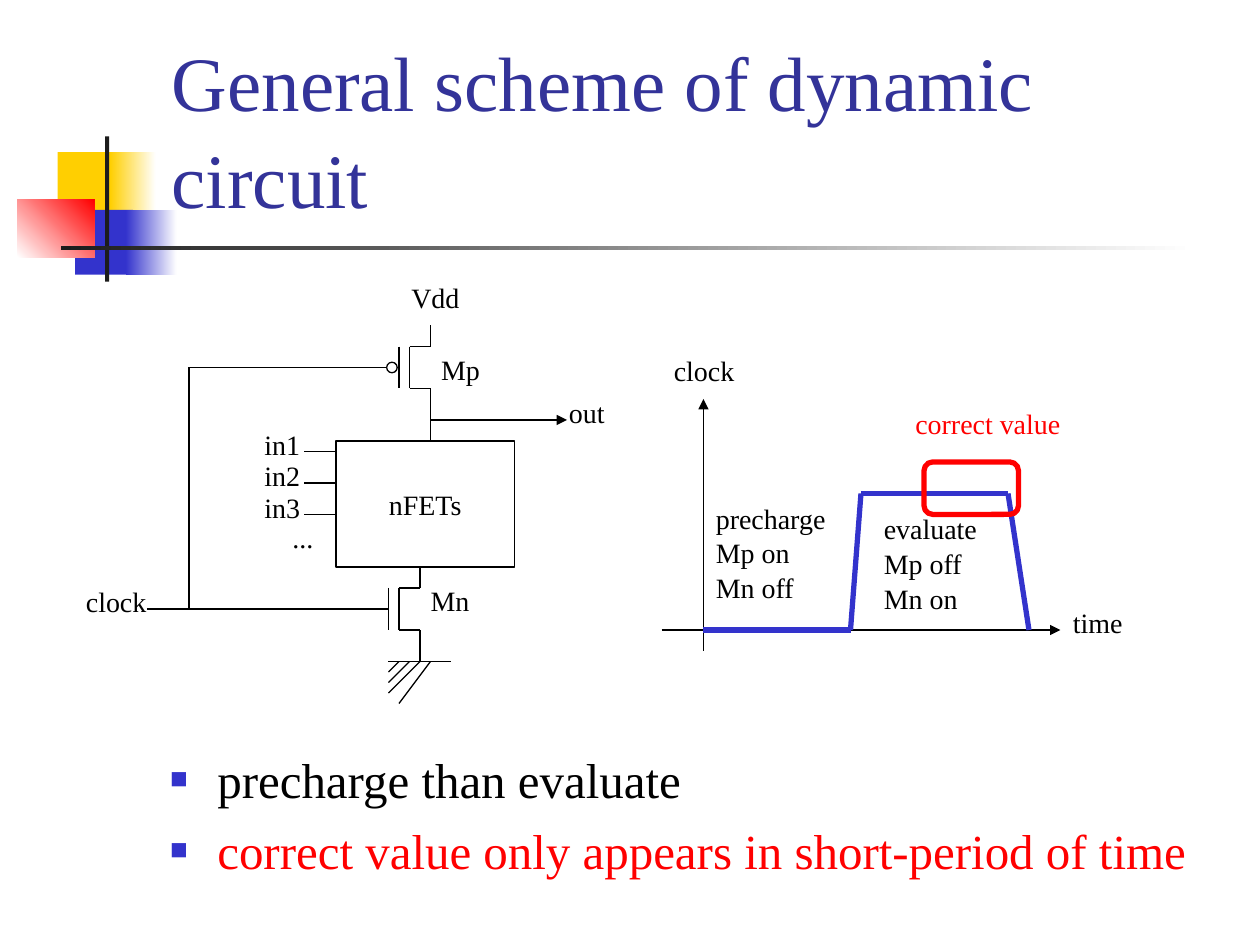
from itertools import pairwise

from lxml import etree
from pptx import Presentation
from pptx.dml.color import RGBColor
from pptx.enum.shapes import MSO_CONNECTOR, MSO_SHAPE
from pptx.enum.text import MSO_ANCHOR, MSO_AUTO_SIZE, PP_ALIGN
from pptx.oxml.ns import qn
from pptx.util import Pt

RECT, ROUND, OVAL = MSO_SHAPE.RECTANGLE, MSO_SHAPE.ROUNDED_RECTANGLE, MSO_SHAPE.OVAL
STRAIGHT = MSO_CONNECTOR.STRAIGHT
LEFT, CENTER = PP_ALIGN.LEFT, PP_ALIGN.CENTER
BOTTOM, MIDDLE = MSO_ANCHOR.BOTTOM, MSO_ANCHOR.MIDDLE
FIXED, GROW = MSO_AUTO_SIZE.NONE, MSO_AUTO_SIZE.SHAPE_TO_FIT_TEXT
FONT = "Times New Roman"
BLACK, WHITE, RED, BLUE = "000000", "FFFFFF", "FF0000", "3333CC"
GOLD, DARK, NAVY = "FFCF01", "1C1C1C", "333399"


def color(code):
    return RGBColor.from_string(code)


def style(para, size, hue=BLACK, align=LEFT):
    para.alignment = align
    para.font.name = FONT
    para.font.size = Pt(size)
    para.font.color.rgb = color(hue)


def place(shape, box):
    shape.left, shape.top, shape.width, shape.height = map(Pt, box)


def tile(slide, front, box, hues, angle=0):
    shape = slide.shapes.add_shape(RECT, *map(Pt, box))
    shape.shadow.inherit = False
    shape.line.fill.background()
    if len(hues) == 1:
        shape.fill.solid()
        shape.fill.fore_color.rgb = color(hues[0])
    else:
        shape.fill.gradient()
        shape.fill.gradient_angle = angle
        for stop, hue in zip(shape.fill.gradient_stops, hues):
            stop.color.rgb = color(hue)
    front.element.addprevious(shape.element)


def frame(art, kind, box, hue=BLACK, width=0.75):
    shape = art.shapes.add_shape(kind, *map(Pt, box))
    shape.shadow.inherit = False
    shape.fill.background()
    shape.line.color.rgb = color(hue)
    shape.line.width = Pt(width)
    return shape


def wire(art, x, y, ends, hue=BLACK, width=0.75, arrow=False):
    x1, y1, x2, y2 = ends
    line = art.shapes.add_connector(
        STRAIGHT, Pt(x + x1), Pt(y + y1), Pt(x + x2), Pt(y + y2))
    line.line.color.rgb = color(hue)
    line.line.width = Pt(width)
    props = line.element.spPr
    if arrow:
        etree.SubElement(props.find(qn("a:ln")), qn("a:tailEnd"), type="triangle")
    etree.SubElement(props, qn("a:effectLst"))


def label(art, text, x, y, width, height=26.6, hue=BLACK):
    frame = art.shapes.add_textbox(Pt(x), Pt(y), Pt(width), Pt(height)).text_frame
    frame.word_wrap = False
    frame.auto_size = GROW
    frame.text = text
    for para in frame.paragraphs:
        style(para, 16, hue)
        para.line_spacing = 1.04


def heading(slide, box):
    title = slide.shapes.title
    place(title, box)
    frame = title.text_frame
    frame.text = "General scheme of dynamic circuit"
    frame.auto_size = FIXED
    frame.vertical_anchor = BOTTOM
    style(frame.paragraphs[0], 44, NAVY)
    frame.paragraphs[0].line_spacing = 1.05


def emblem(slide, x, y):
    front = slide.shapes.title
    parts = [
        ((23, 9, 35, 37), [GOLD], 0),
        ((53, 9, 26, 37), [GOLD, WHITE], 0),
        ((33, 42, 33, 37), [BLUE], 0),
        ((62, 42, 29, 37), [BLUE, WHITE], 0),
        ((0, 36, 44, 33), [WHITE, RED], 45),
        ((50, 0, 2.4, 83), [DARK], 0),
        ((25, 62.4, 648, 2.4), [DARK, WHITE], 0),
    ]
    for (left, top, width, height), hues, angle in parts:
        tile(slide, front, (x + left, y + top, width, height), hues, angle)


def points(slide, box):
    body = slide.placeholders[1]
    place(body, box)
    frame = body.text_frame
    frame.auto_size = FIXED
    frame.margin_top = Pt(7)
    frame.text = "precharge than evaluate\ncorrect value only appears in short-period of time"
    for para, hue, gap in zip(frame.paragraphs, (BLACK, RED), (0, 5.6)):
        props = para._p.get_or_add_pPr()
        props.set("marL", str(Pt(27)))
        props.set("indent", str(Pt(-27)))
        tint = etree.SubElement(props, qn("a:buClr"))
        etree.SubElement(tint, qn("a:srgbClr"), val=BLUE)
        etree.SubElement(props, qn("a:buSzPct"), val="60000")
        etree.SubElement(props, qn("a:buFont"), typeface=FONT)
        etree.SubElement(props, qn("a:buChar"), char="■")
        style(para, 28, hue)
        para.space_before = Pt(gap)
        para.line_spacing = 1.04


def fet(art, x, y):
    for ends in [
        (0, 0, 0, 24), (6, 0, 6, 24), (6, 0, 18, 0),
        (6, 24, 18, 24), (18, 0, 18, -12), (18, 24, 18, 42),
    ]:
        wire(art, x, y, ends)


def ground(art, x, y):
    wire(art, x, y, (0, 0, 36, 0))
    for top, end, drop in [(6, 0, 6), (12, 0, 12), (18, 0, 18), (24, 6, 24)]:
        wire(art, x, y, (top, 0, end, drop))


def circuit(slide, x, y):
    art = slide.shapes.add_group_shape()
    fet(art, x + 186, y + 42)
    fet(art, x + 180, y + 180)
    frame(art, OVAL, (x + 179, y + 51, 6, 6))
    logic = frame(art, RECT, (x + 150, y + 96, 102, 72)).text_frame
    logic.word_wrap = False
    logic.vertical_anchor = MIDDLE
    logic.text = "nFETs"
    style(logic.paragraphs[0], 16, align=CENTER)
    ground(art, x + 180, y + 222)
    for ends in [(42, 192, 180, 192), (66, 192, 66, 54),
                 (66, 54, 179, 54), (204, 84, 204, 96)]:
        wire(art, x, y, ends)
    wire(art, x, y, (204, 84, 282, 84), arrow=True)
    for row in range(3):
        drop = 18 * row
        wire(art, x, y, (132, 102 + drop, 150, 102 + drop))
        label(art, f"in{row + 1}", x + 102, y + 84 + drop, 35)
    for text, left, top, width in [
        ("...", 118, 137, 27), ("clock", 0, 174, 49), ("Mp", 203, 41, 37),
        ("Mn", 197, 173, 37), ("out", 276, 66, 35), ("Vdd", 186, 0, 42),
    ]:
        label(art, text, x + left, y + top, width)


def timing(slide, x, y):
    art = slide.shapes.add_group_shape()
    wire(art, x, y, (0, 162, 228, 162), arrow=True)
    wire(art, x, y, (24, 174, 24, 30), arrow=True)
    wave = [(24, 162), (108, 162), (114, 84), (198, 84), (210, 162)]
    for start, end in pairwise(wave):
        wire(art, x, y, start + end, BLUE, 3)
    label(art, "time", x + 228, y + 144, 43)
    label(art, "clock", x, y, 49)
    label(art, "precharge\nMp on\nMn off", x + 24, y + 84, 78, 65)
    label(art, "evaluate\nMp off\nMn on", x + 120, y + 90, 68, 65)
    frame(slide, ROUND, (x + 150, y + 66, 54, 30), RED, 3)
    label(slide, "correct value", x + 138, y + 30, 98, hue=RED)


def main():
    deck = Presentation()
    deck.slide_width, deck.slide_height = Pt(720), Pt(540)
    slide = deck.slides.add_slide(deck.slide_layouts[1])
    heading(slide, (91, 16.5, 613, 115))
    emblem(slide, 10, 78)
    points(slide, (90, 420, 612, 98.5))
    timing(slide, 378, 198)
    circuit(slide, 42, 156)
    deck.save("out.pptx")


if __name__ == "__main__":
    main()
